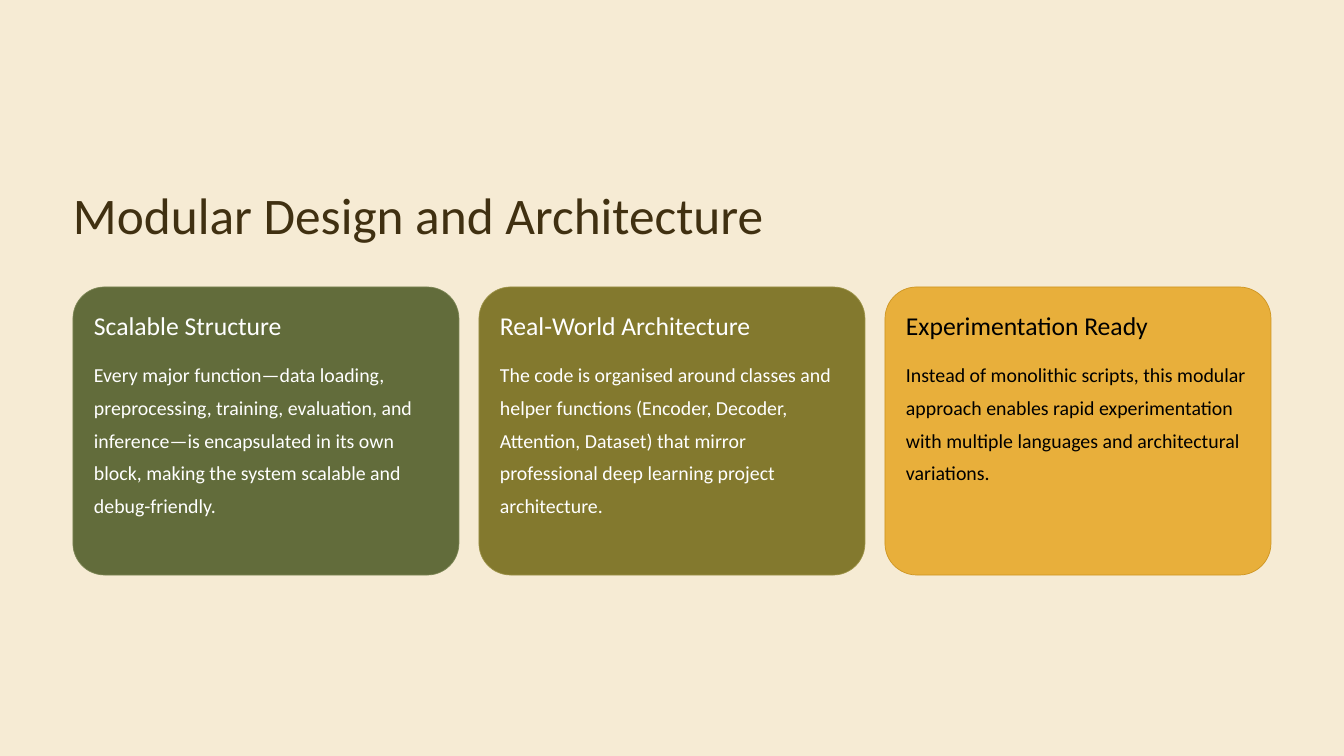
from dataclasses import dataclass

from pptx import Presentation
from pptx import util as u
from pptx.dml.color import RGBColor
from pptx.enum import shapes, text
from pptx.shapes.autoshape import Shape
from pptx.slide import Slide

PX_PER_INCH = 84
FONT = "Calibri"

CREAM = RGBColor(0xF6, 0xEB, 0xD4)
BROWN = RGBColor(0x40, 0x30, 0x11)
WHITE = RGBColor(0xFF, 0xFF, 0xFF)
BLACK = RGBColor(0x00, 0x00, 0x00)
GREEN = RGBColor(0x62, 0x6C, 0x3B)
GREEN_EDGE = RGBColor(0x7B, 0x85, 0x54)
OLIVE = RGBColor(0x83, 0x79, 0x2E)
OLIVE_EDGE = RGBColor(0x9C, 0x92, 0x47)
AMBER = RGBColor(0xE8, 0xAF, 0x3B)
AMBER_EDGE = RGBColor(0xCE, 0x95, 0x21)

MARGIN = 73
CARD_TOP, CARD_WIDTH, CARD_HEIGHT, CARD_GAP = 287, 386, 288, 20
PADDING = 21
HEADING_TOP, HEADING_HEIGHT = 309, 31
BODY_TOP, BODY_HEIGHT = 354, 161


@dataclass(frozen=True)
class TextStyle:
    size: int
    leading: int
    color: RGBColor


@dataclass(frozen=True)
class Card:
    heading: str
    body: str
    fill: RGBColor
    edge: RGBColor
    ink: RGBColor


CARDS = [
    Card(
        "Scalable Structure",
        "Every major function—data loading, preprocessing, training, evaluation, "
        "and inference—is encapsulated in its own block, making the system "
        "scalable and debug-friendly.",
        GREEN, GREEN_EDGE, WHITE,
    ),
    Card(
        "Real-World Architecture",
        "The code is organised around classes and helper functions (Encoder, "
        "Decoder, Attention, Dataset) that mirror professional deep learning "
        "project architecture.",
        OLIVE, OLIVE_EDGE, WHITE,
    ),
    Card(
        "Experimentation Ready",
        "Instead of monolithic scripts, this modular approach enables rapid "
        "experimentation with multiple languages and architectural variations.",
        AMBER, AMBER_EDGE, BLACK,
    ),
]


def px(length: int) -> u.Emu:
    return u.Emu(round(length * u.Inches(1) / PX_PER_INCH))


def write(holder: Shape, wording: str, style: TextStyle) -> None:
    """Fill a text holder with one left-aligned paragraph and no insets."""
    frame = holder.text_frame
    frame.text = wording
    frame.word_wrap = True
    frame.auto_size = text.MSO_AUTO_SIZE.NONE
    frame.vertical_anchor = text.MSO_ANCHOR.TOP
    frame.margin_left = frame.margin_top = 0
    frame.margin_right = frame.margin_bottom = 0
    paragraph = frame.paragraphs[0]
    paragraph.alignment = text.PP_ALIGN.LEFT
    paragraph.line_spacing = u.Pt(style.leading)
    font = paragraph.runs[0].font
    font.name = FONT
    font.size = u.Pt(style.size)
    font.color.rgb = style.color


def add_title(slide: Slide, wording: str) -> None:
    title = slide.shapes.title
    title.left, title.top = px(MARGIN), px(181)
    title.width, title.height = px(746), px(63)
    write(title, wording, TextStyle(44, 55, BROWN))


def add_card(slide: Slide, card: Card, left: int) -> None:
    panel = slide.shapes.add_shape(
        shapes.MSO_SHAPE.ROUNDED_RECTANGLE,
        px(left), px(CARD_TOP), px(CARD_WIDTH), px(CARD_HEIGHT),
    )
    panel.adjustments[0] = 0.11
    panel.shadow.inherit = False
    panel.fill.solid()
    panel.fill.fore_color.rgb = card.fill
    panel.line.color.rgb = card.edge
    panel.line.width = u.Pt(0.6)

    for wording, top, height, style in (
        (card.heading, HEADING_TOP, HEADING_HEIGHT, TextStyle(22, 27, card.ink)),
        (card.body, BODY_TOP, BODY_HEIGHT, TextStyle(17, 28, card.ink)),
    ):
        holder = slide.shapes.add_textbox(
            px(left + PADDING), px(top), px(CARD_WIDTH - 2 * PADDING), px(height)
        )
        write(holder, wording, style)


def main() -> None:
    deck = Presentation()
    deck.slide_width, deck.slide_height = u.Inches(16), u.Inches(9)
    slide = deck.slides.add_slide(deck.slide_layouts.get_by_name("Title Only"))
    slide.background.fill.solid()
    slide.background.fill.fore_color.rgb = CREAM

    add_title(slide, "Modular Design and Architecture")
    for column, card in enumerate(CARDS):
        add_card(slide, card, MARGIN + column * (CARD_WIDTH + CARD_GAP))

    deck.save("out.pptx")


if __name__ == "__main__":
    main()
